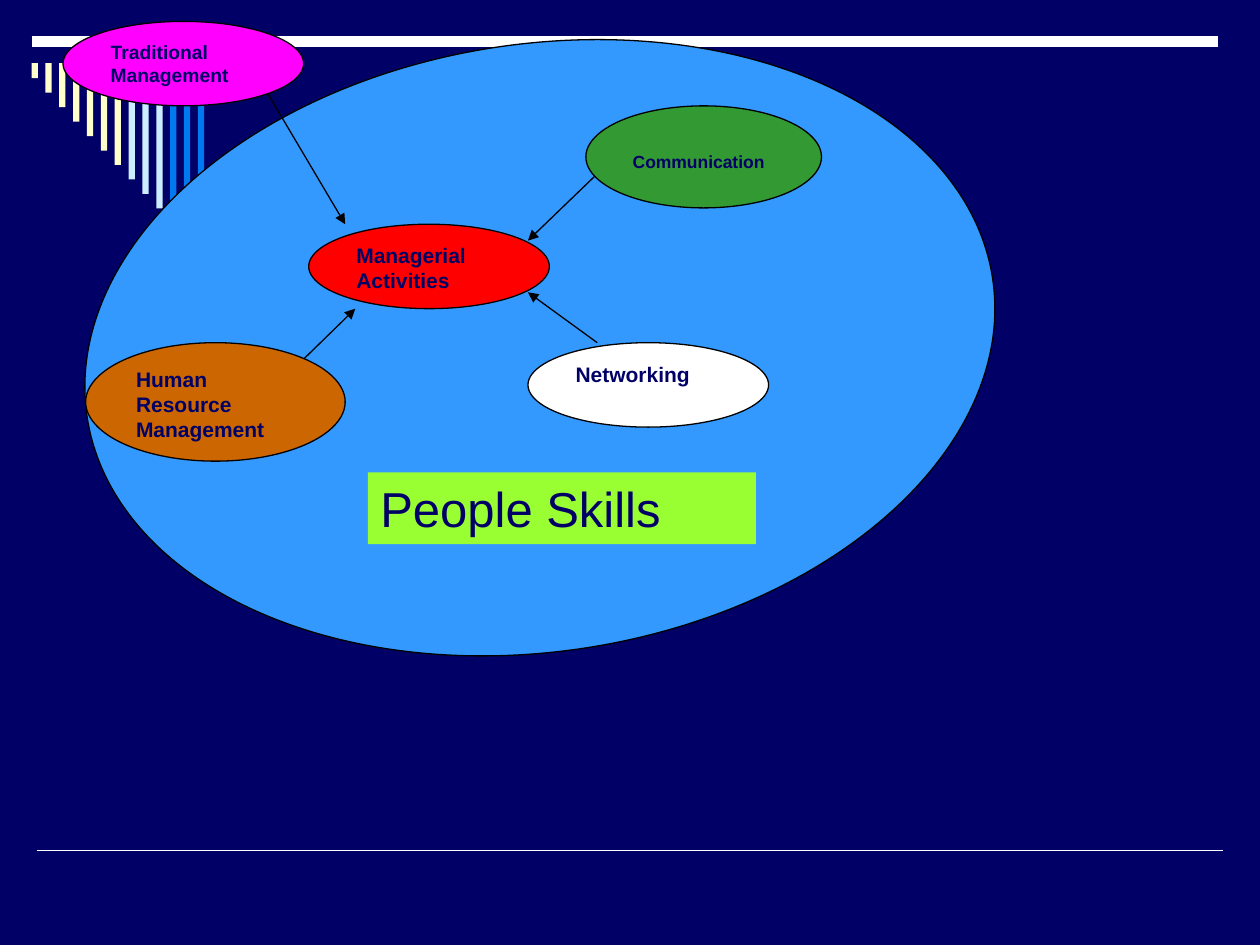
from dataclasses import dataclass

import pptx
import pptx.dml.color
import pptx.enum.shapes
import pptx.enum.text
import pptx.oxml.ns
import pptx.util
from lxml import etree

Inches = pptx.util.Inches
Pt = pptx.util.Pt
SHAPES = pptx.enum.shapes.MSO_SHAPE


@dataclass(frozen=True)
class Theme:
    """Colours, font and type sizes of the slide."""
    background: str = "000066"
    text: str = "000066"
    rule: str = "FFFFFF"
    outline: str = "000000"
    cream: str = "FFFFCC"
    pale_blue: str = "CCECFF"
    blue: str = "0078F0"
    skills_area: str = "3399FF"
    banner: str = "99FF33"
    magenta: str = "FF00FF"
    brown: str = "CC6600"
    white: str = "FFFFFF"
    green: str = "339933"
    red: str = "FF0000"
    font: str = "Arial"
    small: float = 10
    medium: float = 11
    label: float = 12
    headline: float = 28
    thin: float = 0.75


THEME = Theme()


def rgb(value):
    """Return a colour from its hex value."""
    return pptx.dml.color.RGBColor.from_string(value)


def add_filled(slide, kind, box, fill, outline=None):
    """Add a flat preset shape in the box."""
    shape = slide.shapes.add_shape(kind, *map(Inches, box))
    shape.shadow.inherit = False
    shape.fill.solid()
    shape.fill.fore_color.rgb = rgb(fill)
    if outline:
        shape.line.color.rgb = rgb(outline)
        shape.line.width = Pt(THEME.thin)
    else:
        shape.line.fill.background()
    return shape


def add_line(slide, start, end, color, width, arrow=False):
    """Add a straight line, with an arrowhead at its end if asked."""
    line = slide.shapes.add_connector(
        pptx.enum.shapes.MSO_CONNECTOR.STRAIGHT, *map(Inches, (*start, *end)))
    line.line.color.rgb = rgb(color)
    line.line.width = Pt(width)
    if arrow:
        etree.SubElement(line.line._get_or_add_ln(),
                         pptx.oxml.ns.qn("a:tailEnd"), type="triangle")
    etree.SubElement(line._element.spPr, pptx.oxml.ns.qn("a:effectLst"))


def write(shape, words, size, bold, top=0.05):
    """Write left-aligned words from the top of a shape."""
    frame = shape.text_frame
    frame.word_wrap = True
    frame.vertical_anchor = pptx.enum.text.MSO_ANCHOR.TOP
    frame.margin_left = frame.margin_right = Inches(0.1)
    frame.margin_top, frame.margin_bottom = Inches(top), Inches(0.05)
    paragraph = frame.paragraphs[0]
    paragraph.alignment = pptx.enum.text.PP_ALIGN.LEFT
    run = paragraph.add_run()
    run.text = words
    run.font.name = THEME.font
    run.font.size = Pt(size)
    run.font.bold = bold
    run.font.color.rgb = rgb(THEME.text)


def add_frame(slide, box):
    """Add the top and bottom rules and the growing bars below the top one."""
    left, top, width, height = box
    bottom = top + height
    add_line(slide, (left + 0.04, bottom), (left + 0.04 + width, bottom), THEME.rule, 1)
    add_line(slide, (left, top), (left + width, top), THEME.rule, 6)
    bar_colors = [THEME.cream] * 7 + [THEME.pale_blue] * 3 + [THEME.blue] * 3
    for step, color in enumerate(bar_colors):
        bar = (left + 0.11 * step, top + 0.17, 0.05, 0.12 + 0.115 * step)
        add_filled(slide, SHAPES.RECTANGLE, bar, color)


def add_skills_map(slide, box):
    """Add the tilted skills area with its arrows, activities and banner."""
    left, top, width, height = box
    area = add_filled(slide, SHAPES.OVAL, box, THEME.skills_area, THEME.outline)
    area.rotation = 351.2

    arrows = [
        ((1.76, 2.5), (2.17, 2.1)),
        ((4.09, 1.03), (3.54, 1.56)),
        ((4.09, 2.37), (3.54, 1.97)),
        ((1.45, 0.35), (2.09, 1.43)),
    ]
    for start, end in arrows:
        add_line(slide, (left + start[0], top + start[1]),
                 (left + end[0], top + end[1]), THEME.outline, THEME.thin, arrow=True)

    activities = [
        ("Traditional Management", (-0.15, -0.18, 1.91, 0.67), THEME.magenta, THEME.medium, 0.05),
        ("Human Resource Management", (0.03, 2.37, 2.06, 0.94), THEME.brown, THEME.label, 0.05),
        ("Networking", (3.54, 2.37, 1.91, 0.67), THEME.white, THEME.label, 0.05),
        ("Communication", (4, 0.49, 1.87, 0.81), THEME.green, THEME.small, 0.24),
        ("Managerial Activities", (1.8, 1.43, 1.91, 0.67), THEME.red, THEME.label, 0.05),
    ]
    for words, (x, y, w, h), fill, size, inset in activities:
        activity = add_filled(slide, SHAPES.OVAL, (left + x, top + y, w, h),
                              fill, THEME.outline)
        write(activity, words, size, True, inset)

    banner = add_filled(slide, SHAPES.RECTANGLE,
                        (left + 2.27, top + 3.4, 3.08, 0.57), THEME.banner)
    write(banner, "People Skills", THEME.headline, False)


def main():
    """Build and save the slide."""
    deck = pptx.Presentation()
    deck.slide_width, deck.slide_height = Inches(10), Inches(7.5)
    slide = deck.slides.add_slide(deck.slide_layouts[6])
    slide.background.fill.solid()
    slide.background.fill.fore_color.rgb = rgb(THEME.background)
    add_frame(slide, (0.25, 0.33, 9.42, 6.42))
    add_skills_map(slide, (0.65, 0.35, 7.27, 4.82))
    deck.save("out.pptx")


if __name__ == "__main__":
    main()
